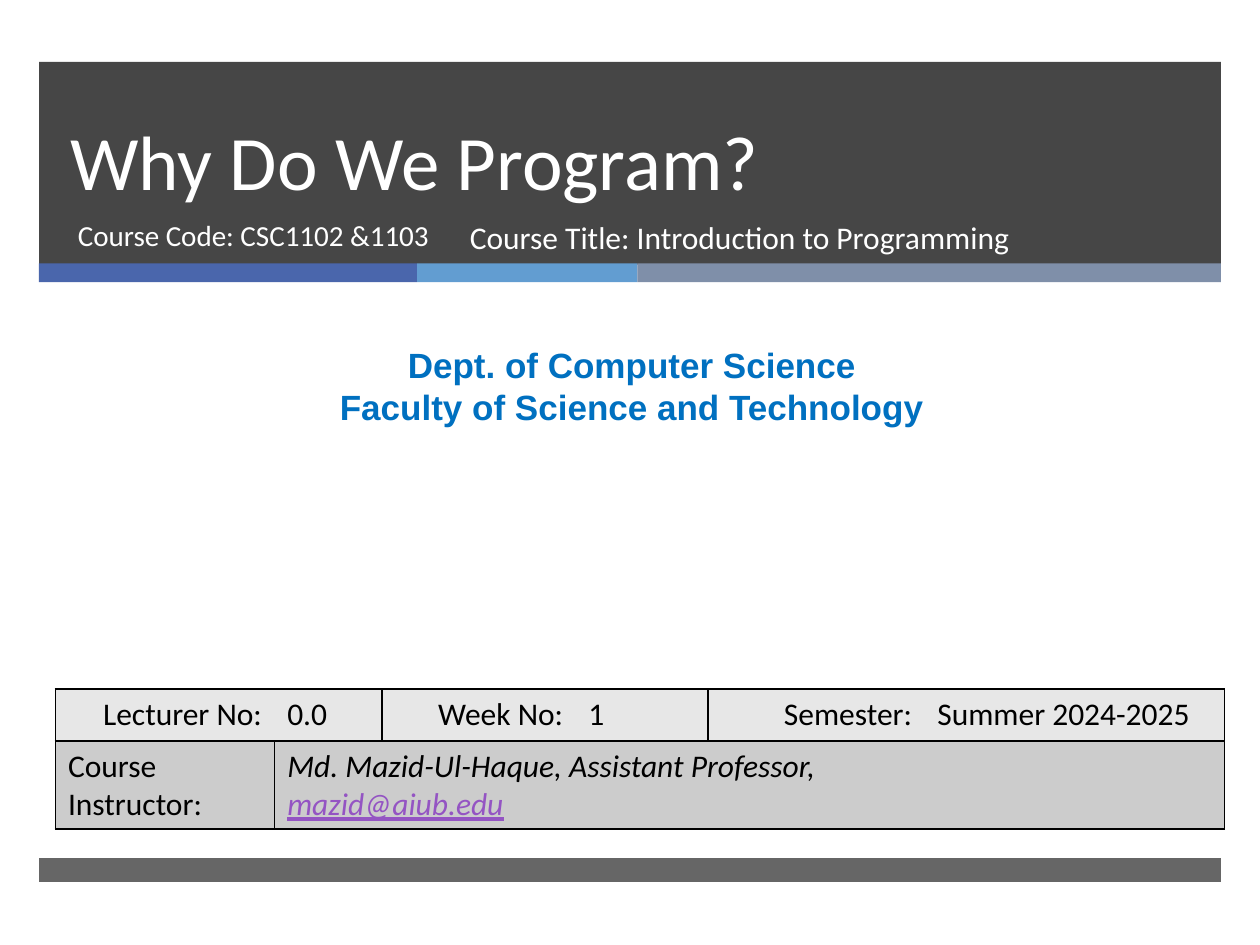
"""Build the title slide of an introductory programming lecture."""
from dataclasses import dataclass
from itertools import accumulate
from typing import Optional

import pptx
import pptx.dml.color
import pptx.enum.shapes
import pptx.enum.text
import pptx.oxml.ns
import pptx.slide
import pptx.table
import pptx.text.text
import pptx.util
from lxml import etree

ALIGN = pptx.enum.text.PP_ALIGN
ANCHOR = pptx.enum.text.MSO_ANCHOR


@dataclass(frozen=True)
class Theme:
    dark: str = "262626"
    stripes: tuple[str, ...] = ("4A66AC", "629DD1", "7F8FA9")
    light: str = "FFFFFF"
    ink: str = "000000"
    department: str = "0070C0"
    email: str = "9454C3"
    rows: tuple[str, ...] = ("E7E7E7", "CCCCCC")
    body: str = "Calibri"
    heading: str = "Arial"
    title_size: float = 44
    title_leading: float = 46
    department_size: float = 20
    text_size: float = 18
    code_size: float = 16.6


@dataclass(frozen=True)
class Area:
    left: float
    top: float
    width: float
    height: float


@dataclass(frozen=True)
class Style:
    size: float
    color: str
    font: str
    bold: bool = False
    italic: bool = False
    underline: bool = False
    align: ALIGN = ALIGN.LEFT
    leading: Optional[float] = None


@dataclass(frozen=True)
class Caption:
    area: Area
    lines: tuple[str, ...]
    style: Style
    anchor: ANCHOR = ANCHOR.TOP


@dataclass(frozen=True)
class Entry:
    row: int
    column: int
    lines: tuple[str, ...]
    styles: tuple[Style, ...]
    edges: str


THEME = Theme()
SLIDE_WIDTH, SLIDE_HEIGHT = pptx.util.Inches(10), pptx.util.Inches(7.5)
GRID_COLUMNS, GRID_ROWS = 100, 75
BAND_LEFT, BAND_WIDTH = 3.1, 93.8
STRIPE_WIDTHS = (30, 17.5, 46.3)
TABLE_COLUMNS = (17.4, 8.5, 15.4, 10.5, 17.2, 23.8)
TABLE_ROWS = (4.1, 7)

CELL = Style(THEME.text_size, THEME.ink, THEME.body)
LABEL = Style(THEME.text_size, THEME.ink, THEME.body, align=ALIGN.RIGHT)
PERSON = Style(THEME.text_size, THEME.ink, THEME.body, italic=True)
EMAIL = Style(THEME.text_size, THEME.email, THEME.body, italic=True, underline=True)

CAPTIONS = (
    Caption(Area(4.6, 4.9, 85.4, 11.9), ("Why Do We Program?",),
            Style(THEME.title_size, THEME.light, THEME.body,
                  leading=THEME.title_leading), ANCHOR.BOTTOM),
    Caption(Area(5.2, 16.8, 32.1, 5.3), ("Course Code: CSC1102 &1103",),
            Style(THEME.code_size, THEME.light, THEME.body)),
    Caption(Area(0.8, 26.8, 98.7, 7.7),
            ("Dept. of Computer Science", "Faculty of Science and Technology"),
            Style(THEME.department_size, THEME.department, THEME.heading,
                  bold=True, align=ALIGN.CENTER)),
    Caption(Area(36.3, 16.8, 45.5, 5.3),
            ("Course Title: Introduction to Programming",),
            Style(THEME.text_size, THEME.light, THEME.body)),
)
FACTS = (("Lecturer No:", "0.0"), ("Week No:", "1"), ("Semester:", "Summer 2024-2025"))
INSTRUCTOR = (
    Entry(1, 0, ("Course Instructor:",), (CELL,), "LRTB"),
    Entry(1, 1, ("Md. Mazid-Ul-Haque, Assistant Professor,", "mazid@aiub.edu"),
          (PERSON, EMAIL), "LRTB"),
)


def across(columns: float) -> int:
    """Turn grid columns into a length."""
    return round(SLIDE_WIDTH * columns / GRID_COLUMNS)


def down(rows: float) -> int:
    """Turn grid rows into a length."""
    return round(SLIDE_HEIGHT * rows / GRID_ROWS)


def place(area: Area) -> tuple[int, int, int, int]:
    """Turn a grid area into left, top, width and height."""
    return across(area.left), down(area.top), across(area.width), down(area.height)


def rgb(color: str) -> pptx.dml.color.RGBColor:
    """Turn a hex value into a colour."""
    return pptx.dml.color.RGBColor.from_string(color)


def draw_band(slide: pptx.slide.Slide, area: Area, color: str, opacity: int = 100) -> None:
    """Draw a borderless rectangle with the given opacity in percent."""
    band = slide.shapes.add_shape(
        pptx.enum.shapes.MSO_SHAPE.RECTANGLE, *place(area))
    band.shadow.inherit = False
    band.line.fill.background()
    band.fill.solid()
    band.fill.fore_color.rgb = rgb(color)
    if opacity < 100:
        tint = band.fill._xPr.find(".//" + pptx.oxml.ns.qn("a:srgbClr"))
        etree.SubElement(tint, pptx.oxml.ns.qn("a:alpha"), val=str(opacity * 1000))


def write(frame: pptx.text.text.TextFrame, lines: tuple[str, ...],
          styles: tuple[Style, ...]) -> None:
    """Write one styled paragraph for each line."""
    frame.text = "\n".join(lines)
    for paragraph, style in zip(frame.paragraphs, styles):
        paragraph.alignment = style.align
        if style.leading:
            paragraph.line_spacing = pptx.util.Pt(style.leading)
        font = paragraph.font
        font.size, font.name = pptx.util.Pt(style.size), style.font
        font.bold, font.italic, font.underline = style.bold, style.italic, style.underline
        font.color.rgb = rgb(style.color)


def draw_caption(slide: pptx.slide.Slide, caption: Caption) -> None:
    """Draw a wrapped text box."""
    frame = slide.shapes.add_textbox(*place(caption.area)).text_frame
    frame.word_wrap = True
    frame.vertical_anchor = caption.anchor
    write(frame, caption.lines, (caption.style,) * len(caption.lines))


def dress_cell(cell: pptx.table._Cell, color: str, edges: str) -> None:
    """Rule the named edges of a cell, hide the others and fill it."""
    properties = cell._tc.get_or_add_tcPr()
    for edge in "LRTB":
        line = etree.SubElement(
            properties, pptx.oxml.ns.qn("a:ln" + edge), w=str(pptx.util.Pt(1)))
        if edge in edges:
            fill = etree.SubElement(line, pptx.oxml.ns.qn("a:solidFill"))
            etree.SubElement(fill, pptx.oxml.ns.qn("a:srgbClr"), val=THEME.ink)
        else:
            etree.SubElement(line, pptx.oxml.ns.qn("a:noFill"))
    cell.fill.solid()
    cell.fill.fore_color.rgb = rgb(color)


def draw_details(slide: pptx.slide.Slide) -> None:
    """Draw the table of lecture facts and instructor."""
    area = Area(4.4, 54.7, sum(TABLE_COLUMNS), sum(TABLE_ROWS))
    details = slide.shapes.add_table(
        len(TABLE_ROWS), len(TABLE_COLUMNS), *place(area)).table
    details.first_row = details.horz_banding = False
    for column, width in zip(details.columns, TABLE_COLUMNS):
        column.width = across(width)
    for row, height in zip(details.rows, TABLE_ROWS):
        row.height = down(height)
    last = len(TABLE_COLUMNS) - 1
    details.cell(1, 1).merge(details.cell(1, last))
    facts = tuple(
        Entry(0, 2 * pair + side, (text,), ((LABEL, CELL)[side],), ("LTB", "RTB")[side])
        for pair, fact in enumerate(FACTS) for side, text in enumerate(fact))
    for entry in facts + INSTRUCTOR:
        cell = details.cell(entry.row, entry.column)
        write(cell.text_frame, entry.lines, entry.styles)
        dress_cell(cell, THEME.rows[entry.row], entry.edges)
    for column in range(2, last + 1):
        dress_cell(details.cell(1, column), THEME.rows[1], "RTB" if column == last else "TB")


def main() -> None:
    """Build and save the slide."""
    deck = pptx.Presentation()
    deck.slide_width, deck.slide_height = SLIDE_WIDTH, SLIDE_HEIGHT
    slide = deck.slides.add_slide(deck.slide_layouts[6])
    draw_band(slide, Area(BAND_LEFT, 4.9, BAND_WIDTH, 16.1), THEME.dark, 85)
    starts = accumulate(STRIPE_WIDTHS, initial=BAND_LEFT)
    for left, width, color in zip(starts, STRIPE_WIDTHS, THEME.stripes):
        draw_band(slide, Area(left, 20.9, width, 1.5), color)
    draw_band(slide, Area(BAND_LEFT, 68.1, BAND_WIDTH, 1.9), THEME.dark, 70)
    for caption in CAPTIONS:
        draw_caption(slide, caption)
    draw_details(slide)
    deck.save("out.pptx")


if __name__ == "__main__":
    main()
